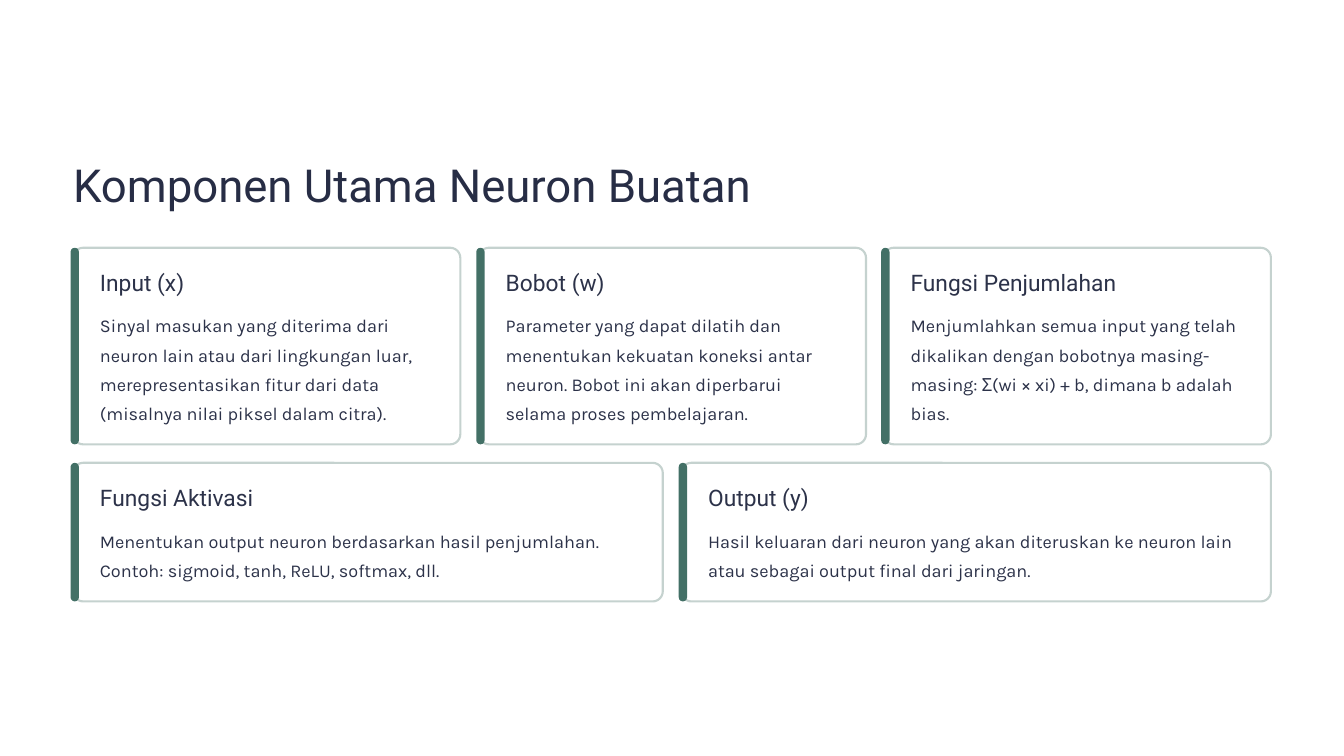
"""Build a slide of five cards on the main components of an artificial neuron."""
from dataclasses import dataclass

from pptx import Presentation
from pptx.dml.color import RGBColor
from pptx.enum.shapes import MSO_SHAPE
from pptx.slide import Slide
from pptx.util import Emu, Pt

ROUNDED = MSO_SHAPE.ROUNDED_RECTANGLE
WHITE = RGBColor(0xFF, 0xFF, 0xFF)
NAVY = RGBColor(0x27, 0x2D, 0x45)
SLATE = RGBColor(0x2C, 0x32, 0x49)
GREEN = RGBColor(0x43, 0x70, 0x66)
PALE_GREEN = RGBColor(0xC5, 0xD2, 0xCF)

EMU_PER_PX = 9144
LEFT = 87
CONTENT_WIDTH = 1426
GAP = 22
FIRST_ROW_TOP = 295
CARD_RADIUS = 12
BAR_WIDTH = 10
BAR_OVERHANG = 3
TEXT_INSET = 32


@dataclass(frozen=True)
class Area:
    left: int
    top: int
    width: int
    height: int

    def emu(self) -> tuple[Emu, ...]:
        """Return the four lengths in EMU."""
        lengths = (self.left, self.top, self.width, self.height)
        return tuple(Emu(length * EMU_PER_PX) for length in lengths)


@dataclass(frozen=True)
class TextStyle:
    font: str
    size: float
    line_spacing: float
    color: RGBColor


@dataclass(frozen=True)
class Card:
    heading: str
    body: str


@dataclass(frozen=True)
class Row:
    height: int
    cards: tuple[Card, ...]


TITLE = TextStyle("Roboto", 39, 48.5, NAVY)
HEADING = TextStyle("Roboto", 19.5, 24, SLATE)
BODY = TextStyle("Karla", 15.5, 25, SLATE)

ROWS = (
    Row(234, (
        Card("Input (x)",
             "Sinyal masukan yang diterima dari neuron lain atau dari lingkungan luar, "
             "merepresentasikan fitur dari data (misalnya nilai piksel dalam citra)."),
        Card("Bobot (w)",
             "Parameter yang dapat dilatih dan menentukan kekuatan koneksi antar neuron. "
             "Bobot ini akan diperbarui selama proses pembelajaran."),
        Card("Fungsi Penjumlahan",
             "Menjumlahkan semua input yang telah dikalikan dengan bobotnya masing-masing: "
             "Σ(wi × xi) + b, dimana b adalah bias."),
    )),
    Row(165, (
        Card("Fungsi Aktivasi",
             "Menentukan output neuron berdasarkan hasil penjumlahan. "
             "Contoh: sigmoid, tanh, ReLU, softmax, dll."),
        Card("Output (y)",
             "Hasil keluaran dari neuron yang akan diteruskan ke neuron lain "
             "atau sebagai output final dari jaringan."),
    )),
)


def add_text(page: Slide, area: Area, text: str, style: TextStyle) -> None:
    """Add one paragraph in a box without margins."""
    frame = page.shapes.add_textbox(*area.emu()).text_frame
    frame.margin_left = frame.margin_top = frame.margin_right = frame.margin_bottom = 0
    frame.word_wrap = True
    para = frame.paragraphs[0]
    para.text = text
    para.line_spacing = Pt(style.line_spacing)
    para.font.name = style.font
    para.font.size = Pt(style.size)
    para.font.color.rgb = style.color


def add_rounded(page: Slide, area: Area, rounding: float, fill: RGBColor,
                line: RGBColor | None = None) -> None:
    """Add a rounded rectangle, outlined if a line colour is given."""
    box = page.shapes.add_shape(ROUNDED, *area.emu())
    box.shadow.inherit = False
    box.adjustments[0] = rounding
    box.fill.solid()
    box.fill.fore_color.rgb = fill
    if line is None:
        box.line.fill.background()
    else:
        box.line.color.rgb = line
        box.line.width = Pt(1.8)


def add_card(page: Slide, area: Area, card: Card) -> None:
    """Add a card with its accent bar, heading and body."""
    add_rounded(page, area, CARD_RADIUS / area.height, WHITE, PALE_GREEN)
    bar = Area(area.left - BAR_OVERHANG, area.top, BAR_WIDTH, area.height)
    add_rounded(page, bar, 0.5, GREEN)
    text_left = area.left + TEXT_INSET
    add_text(page, Area(text_left, area.top + 24, 271, 34), card.heading, HEADING)
    body = Area(text_left, area.top + 71, area.width - 56, area.height - 95)
    add_text(page, body, card.body, BODY)


def add_rows(page: Slide) -> None:
    """Stack the rows, sharing the content width equally within each."""
    top = FIRST_ROW_TOP
    for row in ROWS:
        pitch = (CONTENT_WIDTH + GAP) / len(row.cards)
        for index, card in enumerate(row.cards):
            left = LEFT + round(index * pitch)
            add_card(page, Area(left, top, round(pitch - GAP), row.height), card)
        top += row.height + GAP


def main() -> None:
    """Build and save the deck."""
    deck = Presentation()
    deck.slide_width = Emu(1600 * EMU_PER_PX)
    deck.slide_height = Emu(900 * EMU_PER_PX)
    page = deck.slides.add_slide(deck.slide_layouts[6])
    page.background.fill.solid()
    page.background.fill.fore_color.rgb = WHITE
    add_text(page, Area(LEFT, 184, 840, 68), "Komponen Utama Neuron Buatan", TITLE)
    add_rows(page)
    deck.save("out.pptx")


if __name__ == "__main__":
    main()
